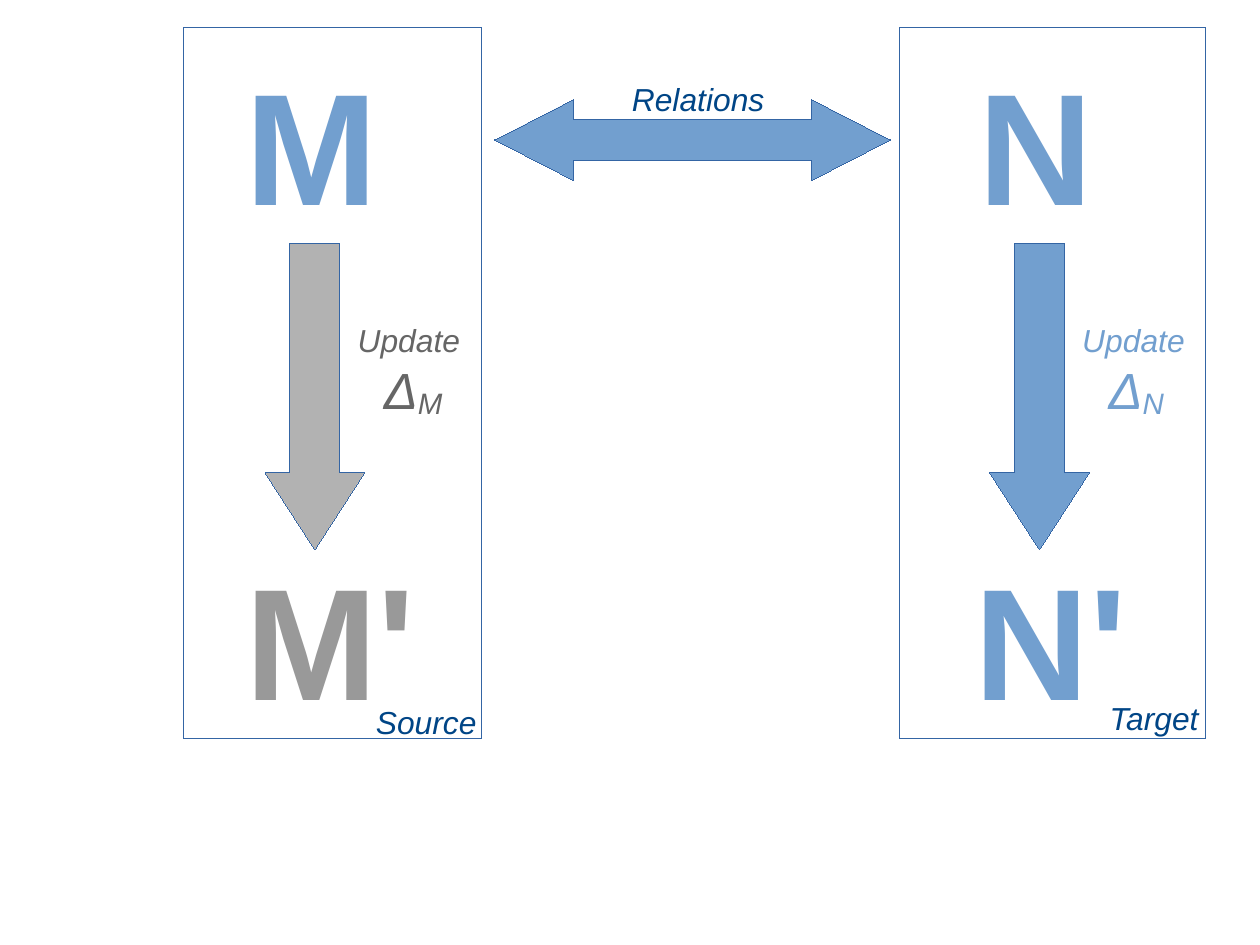
from pptx import Presentation
from pptx.dml.color import RGBColor
from pptx.enum.shapes import MSO_SHAPE
from pptx.util import Cm, Inches, Pt

BLUE = RGBColor(0x72, 0x9F, 0xCF)
OUTLINE = RGBColor(0x34, 0x65, 0xA4)
NAVY = RGBColor(0x00, 0x45, 0x86)
ARROW_GRAY = RGBColor(0xB2, 0xB2, 0xB2)
MODEL_GRAY = RGBColor(0x99, 0x99, 0x99)
NOTE_GRAY = RGBColor(0x66, 0x66, 0x66)

# Rows shared by both sides, in inches
FRAME_ROW, MODEL_ROW, ARROW_ROW = 0.24, 0.36, 2.13
NOTE_ROW, UPDATED_ROW = 2.76, 4.69
DELTA_INDENT = Inches(0.23)
HAIRLINE = Pt(0.01)

presentation = Presentation()
presentation.slide_width = Cm(28)
presentation.slide_height = Cm(21)
slide = presentation.slides.add_slide(presentation.slide_layouts[6])


def add_outline(kind, left, top, width, height, fill=None, adjustments=()):
    shape = slide.shapes.add_shape(
        kind, Inches(left), Inches(top), Inches(width), Inches(height))
    shape.shadow.inherit = False
    if fill is None:
        shape.fill.background()
    else:
        shape.fill.solid()
        shape.fill.fore_color.rgb = fill
    shape.line.color.rgb = OUTLINE
    shape.line.width = HAIRLINE
    for index, value in enumerate(adjustments):
        shape.adjustments[index] = value


def add_label(texts, left, top, width, height, color, sizes=(20,), bold=False):
    frame = slide.shapes.add_textbox(
        Inches(left), Inches(top), Inches(width), Inches(height)).text_frame
    frame.word_wrap = True
    paragraph = frame.paragraphs[0]
    paragraph.text = texts[0]
    for text in texts[1:]:
        paragraph.add_run().text = text
    for run, size in zip(paragraph.runs, sizes):
        run.font.name = "Arial"
        run.font.size = Pt(size)
        run.font.bold = bold
        run.font.italic = not bold
        run.font.color.rgb = color
    return paragraph


# Relations between source and target
add_outline(MSO_SHAPE.LEFT_RIGHT_ARROW, 4.33, 0.87, 3.46, 0.71, BLUE, (0.5, 0.973))
add_label(["Relations"], 5.43, 0.65, 1.42, 0.41, NAVY)

# Source and target: frame, model, update arrow, updated model
sides = [
    dict(model="M", side="Source", frame=(1.61, 2.6), side_at=(3.19, 6.1),
         model_left=2.05, updated_left=2.05, arrow_left=2.32, note_left=3.03,
         arrow_color=ARROW_GRAY, note_color=NOTE_GRAY, updated_color=MODEL_GRAY),
    dict(model="N", side="Target", frame=(7.87, 2.68), side_at=(9.61, 6.06),
         model_left=8.46, updated_left=8.43, arrow_left=8.66, note_left=9.37,
         arrow_color=BLUE, note_color=BLUE, updated_color=BLUE),
]
for part in sides:
    model = part["model"]
    frame_left, frame_width = part["frame"]
    add_outline(MSO_SHAPE.RECTANGLE, frame_left, FRAME_ROW, frame_width, 6.22)
    add_outline(MSO_SHAPE.DOWN_ARROW, part["arrow_left"], ARROW_ROW, 0.87, 2.68,
                part["arrow_color"], (0.5, 0.773))
    add_label([model], part["model_left"], MODEL_ROW, 1.4, 1.65,
              BLUE, (100,), True)
    add_label([model + "'"], part["updated_left"], UPDATED_ROW, 1.7, 1.65,
              part["updated_color"], (100,), True)
    add_label([part["side"]], *part["side_at"], 1.1, 0.41, NAVY)

    # Update note: the delta line hangs to the right, with a subscript
    note = add_label(["Update\vΔ", model], part["note_left"], NOTE_ROW, 1.22, 1.06,
                     part["note_color"], (20, 32, 32))
    indents = note._p.get_or_add_pPr()
    indents.set("marL", str(DELTA_INDENT))
    indents.set("indent", str(-DELTA_INDENT))
    note.runs[-1]._r.get_or_add_rPr().set("baseline", "-8000")

presentation.save("out.pptx")
